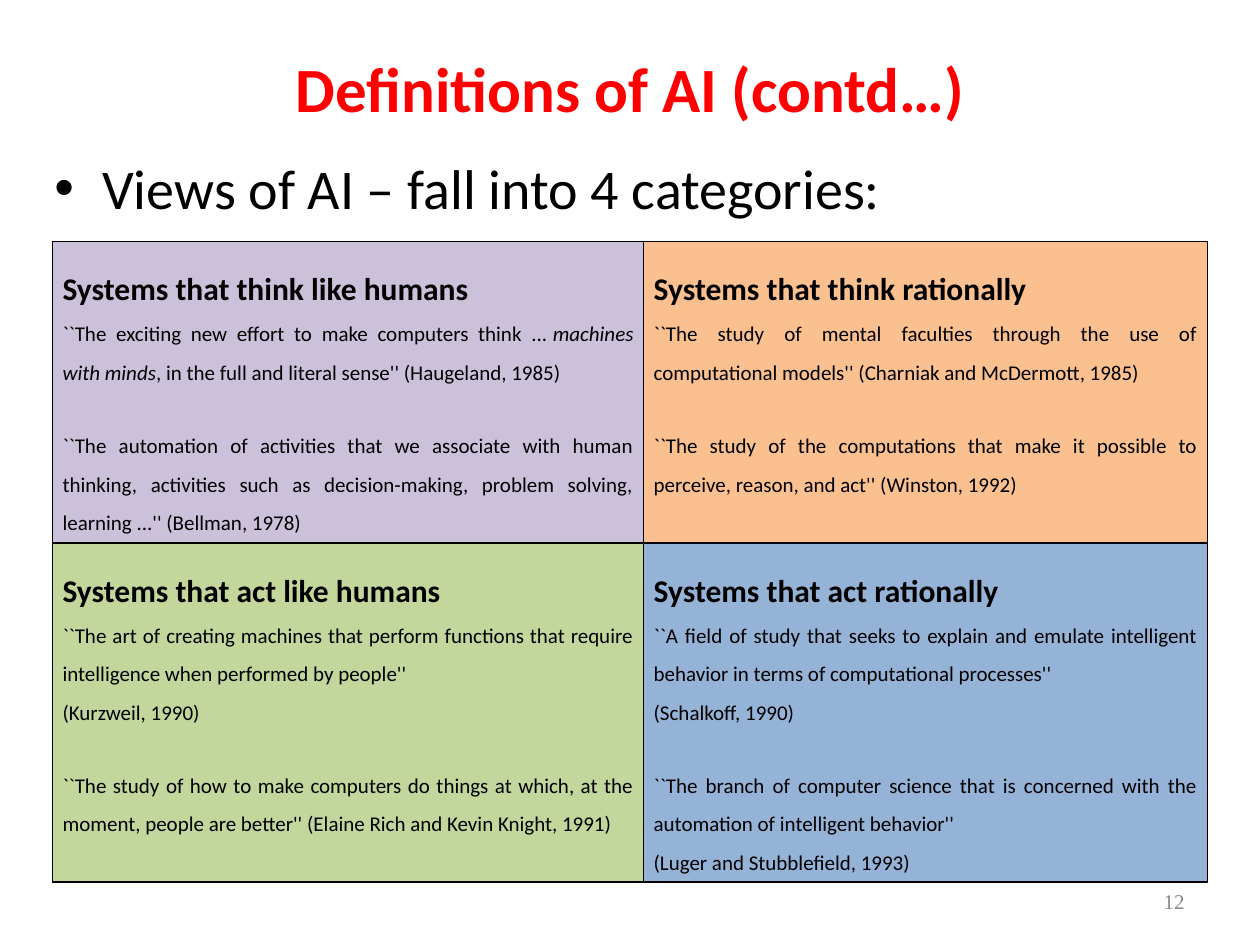
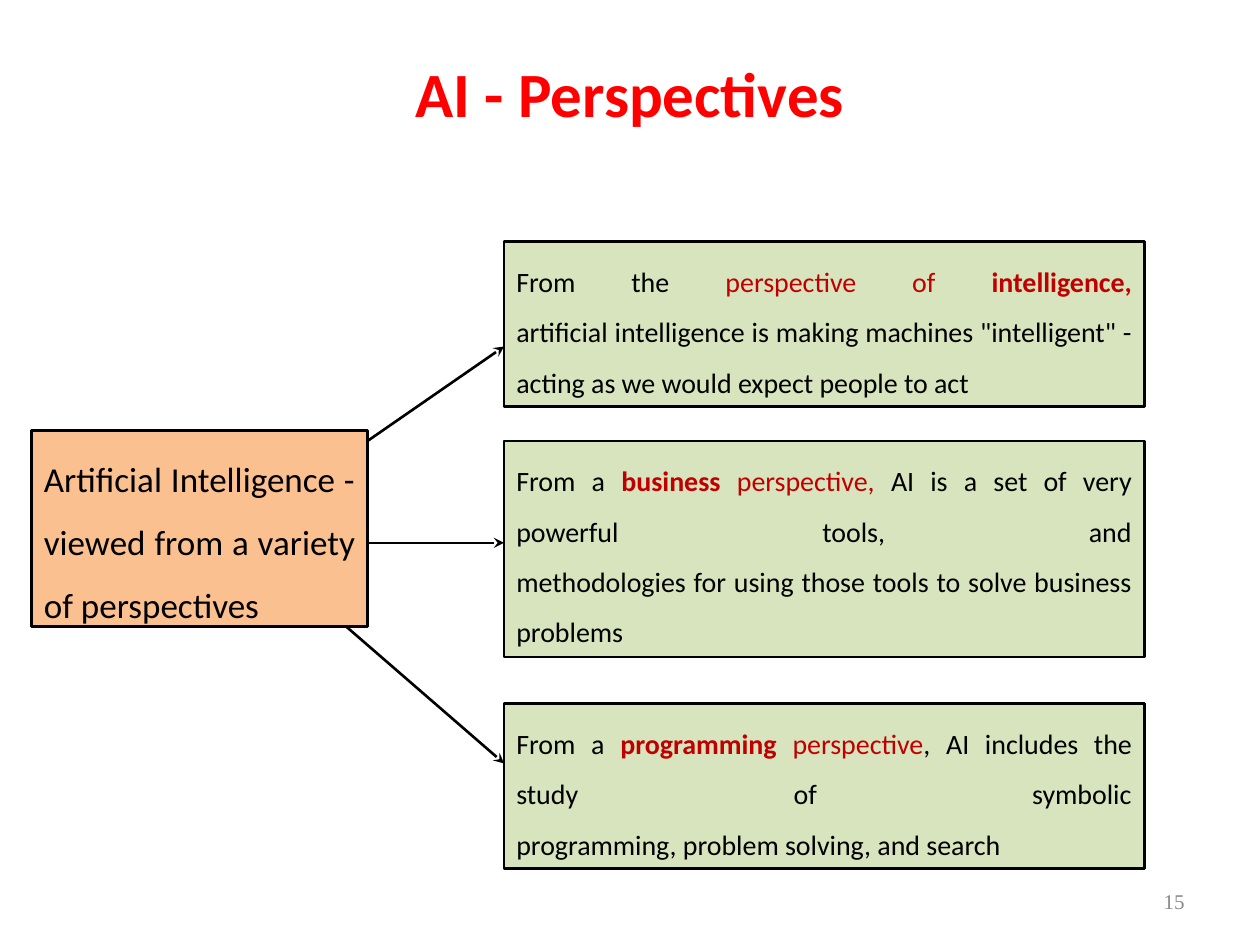
from dataclasses import dataclass

from lxml import etree
from pptx import Presentation
from pptx.dml.color import RGBColor
from pptx.enum.shapes import MSO_CONNECTOR, MSO_SHAPE
from pptx.enum.text import MSO_ANCHOR, PP_ALIGN
from pptx.oxml.ns import qn
from pptx.util import Inches, Pt

LEFT, CENTER = PP_ALIGN.LEFT, PP_ALIGN.CENTER
RIGHT, JUSTIFY = PP_ALIGN.RIGHT, PP_ALIGN.JUSTIFY
TOP, MIDDLE = MSO_ANCHOR.TOP, MSO_ANCHOR.MIDDLE
RECTANGLE, STRAIGHT = MSO_SHAPE.RECTANGLE, MSO_CONNECTOR.STRAIGHT


@dataclass(frozen=True)
class Theme:
    font: str = "Calibri"
    number_font: str = "Times New Roman"
    ink: str = "000000"
    title: str = "FF0000"
    accent: str = "C00000"
    muted: str = "898989"
    purple: str = "CCC1DA"
    orange: str = "FAC090"
    green: str = "C3D69B"
    blue: str = "95B3D7"
    pale_green: str = "D7E4BD"
    title_size: int = 36
    lead_size: int = 32
    hub_size: int = 20
    heading_size: int = 18
    view_size: int = 16
    small_size: int = 12
    quote_gap: int = 20
    line_spacing: float = 1.5
    outline: float = 1.5
    cell_border: float = 1


THEME = Theme()
BLANK_LAYOUT = 6


# The slide is a grid of 120 columns by 90 rows, twelve to the inch
def grid(cells):
    return Inches(cells / 12)


@dataclass(frozen=True)
class Box:
    col: float
    row: float
    cols: float
    rows: float

    @property
    def place(self):
        return [grid(n) for n in (self.col, self.row, self.cols, self.rows)]

    def inner(self, col, row, cols, rows):
        return Box(self.col + col, self.row + row, cols, rows)


def rgb(color):
    return RGBColor.from_string(color)


# ---- Text ----
def add_span(para, text, size, color=THEME.ink, bold=False, italic=False, font=THEME.font):
    for index, line in enumerate(text.split("\n")):
        if index:
            para.add_line_break()
        if not line:
            continue
        span = para.add_run()
        span.text = line
        span.font.name, span.font.size = font, Pt(size)
        span.font.bold, span.font.italic = bold, italic
        span.font.color.rgb = rgb(color)


def style_frame(frame, anchor):
    frame.word_wrap = True
    frame.vertical_anchor = anchor
    frame.margin_left = frame.margin_right = Inches(0.1)
    frame.margin_top = frame.margin_bottom = Inches(0.05)


def add_text(page, box, text, size, align, anchor=MIDDLE, **style):
    frame = page.shapes.add_textbox(*box.place).text_frame
    style_frame(frame, anchor)
    para = frame.paragraphs[0]
    para.alignment = align
    add_span(para, text, size, **style)
    return para


def add_bullet(para):
    props = para._p.get_or_add_pPr()
    props.set("marL", str(Inches(0.38)))
    props.set("indent", str(-Inches(0.38)))
    etree.SubElement(props, qn("a:buFont"), typeface="Arial")
    etree.SubElement(props, qn("a:buChar"), char="•")


def justify(para):
    para.alignment = JUSTIFY
    para.line_spacing = THEME.line_spacing


# ---- Parts both slides share ----
def add_page(deck, title, number, title_rows):
    page = deck.slides.add_slide(deck.slide_layouts[BLANK_LAYOUT])
    add_text(page, Box(6, 3.6, 108, title_rows), title, THEME.title_size, CENTER,
             color=THEME.title, bold=True)
    add_text(page, Box(86, 83.4, 28, 4.8), str(number), THEME.small_size, RIGHT,
             color=THEME.muted, font=THEME.number_font)
    return page


# ---- Table of definitions ----
def border_cell(cell):
    props = cell._tc.get_or_add_tcPr()
    for position, side in enumerate(("a:lnL", "a:lnR", "a:lnT", "a:lnB")):
        line = etree.Element(qn(side), w=str(Pt(THEME.cell_border)))
        fill = etree.SubElement(line, qn("a:solidFill"))
        etree.SubElement(fill, qn("a:srgbClr"), val=THEME.ink)
        props.insert(position, line)


def fill_cell(cell, color, heading, quotes):
    cell.fill.solid()
    cell.fill.fore_color.rgb = rgb(color)
    border_cell(cell)
    cell.margin_left = cell.margin_right = Inches(0.08)
    cell.margin_top = cell.margin_bottom = Inches(0.08)
    para = cell.text_frame.paragraphs[0]
    justify(para)
    add_span(para, heading, THEME.heading_size, bold=True)
    for quote_index, quote in enumerate(quotes):
        for line_index, spans in enumerate(quote):
            para = cell.text_frame.add_paragraph()
            justify(para)
            if quote_index and not line_index:
                para.space_before = Pt(THEME.quote_gap)
            for text, italic in spans:
                add_span(para, text, THEME.small_size, italic=italic)


def add_definitions(page, box, col_widths, row_heights, cells):
    table = page.shapes.add_table(len(row_heights), len(col_widths), *box.place).table
    table.first_row = table.horz_banding = False
    for column, width in zip(table.columns, col_widths):
        column.width = grid(width)
    for row, height in zip(table.rows, row_heights):
        row.height = grid(height)
    for index, content in enumerate(cells):
        fill_cell(table.cell(*divmod(index, len(col_widths))), *content)


def plain(*lines):
    """A quote whose lines each hold one upright span."""
    return [[(line, False)] for line in lines]


DEFINITIONS = [
    (THEME.purple, "Systems that think like humans", [
        [[("``The exciting new effort to make computers think ...\u00a0", False),
          ("machines with minds", True),
          (", in the full and literal sense'' (Haugeland, 1985)", False)]],
        plain("``The automation of activities that we associate with human thinking, "
              "activities such as decision-making, problem solving, learning ...'' "
              "(Bellman, 1978)")]),
    (THEME.orange, "Systems that think rationally", [
        plain("``The study of mental faculties through the use of computational models'' "
              "(Charniak and McDermott, 1985)"),
        plain("``The study of the computations that make it possible to perceive, reason, "
              "and act'' (Winston, 1992)")]),
    (THEME.green, "Systems that act like humans", [
        plain("``The art of creating machines that perform functions that require "
              "intelligence when performed by people''", "(Kurzweil, 1990)"),
        plain("``The study of how to make computers do things at which, at the moment, "
              "people are better'' (Elaine Rich and Kevin Knight, 1991)")]),
    (THEME.blue, "Systems that act rationally", [
        plain("``A field of study that seeks to explain and emulate intelligent behavior "
              "in terms of computational processes''", "(Schalkoff, 1990)"),
        plain("``The branch of computer science that is concerned with the automation of "
              "intelligent behavior''", "(Luger and Stubblefield, 1993)")]),
]


def definitions_slide(deck):
    page = add_page(deck, "Definitions of AI (contd…)", 12, title_rows=9.4)
    lead = add_text(page, Box(4, 14, 108, 8), "Views of AI – fall into 4 categories:",
                    THEME.lead_size, LEFT, TOP)
    add_bullet(lead)
    add_definitions(page, Box(5, 23, 110, 61), (56.3, 53.7), (28.7, 32.3), DEFINITIONS)


# ---- Diagram of perspectives ----
def add_panel(page, box, color, size, spans):
    panel = page.shapes.add_shape(RECTANGLE, *box.place)
    panel.shadow.inherit = False
    panel.fill.solid()
    panel.fill.fore_color.rgb = rgb(color)
    panel.line.color.rgb = rgb(THEME.ink)
    panel.line.width = Pt(THEME.outline)
    style_frame(panel.text_frame, TOP)
    para = panel.text_frame.paragraphs[0]
    justify(para)
    for text, ink, bold in spans:
        add_span(para, text, size, ink, bold)


def add_arrow(page, start, end):
    arrow = page.shapes.add_connector(STRAIGHT, *(grid(n) for n in (*start, *end)))
    arrow.line.color.rgb = rgb(THEME.ink)
    arrow.line.width = Pt(THEME.outline)
    etree.SubElement(arrow.line._get_or_add_ln(), qn("a:tailEnd"), type="stealth")
    etree.SubElement(arrow._element.spPr, qn("a:effectLst"))


# Row offset and height of each view, then its spans
VIEWS = [
    (0, 15.7, [
        ("From the ", THEME.ink, False),
        ("perspective of ", THEME.accent, False),
        ("intelligence,\n", THEME.accent, True),
        ("artificial intelligence is making machines \"intelligent\" - acting as we would "
         "expect people to act", THEME.ink, False)]),
    (19, 20.6, [
        ("From a ", THEME.ink, False),
        ("business ", THEME.accent, True),
        ("perspective, ", THEME.accent, False),
        ("AI is a set of very powerful tools, and\nmethodologies for using those tools to "
         "solve business problems", THEME.ink, False)]),
    (44, 15.7, [
        ("From a ", THEME.ink, False),
        ("programming ", THEME.accent, True),
        ("perspective", THEME.accent, False),
        (", AI includes the study of symbolic\nprogramming, problem solving, and search",
         THEME.ink, False)]),
]


def add_perspectives(page, box):
    hub = box.inner(0, 18, 32, 18.7)
    views_col = 45
    for row, rows, spans in VIEWS:
        view = box.inner(views_col, row, box.cols - views_col, rows)
        add_panel(page, view, THEME.pale_green, THEME.view_size, spans)
    add_panel(page, hub, THEME.orange, THEME.hub_size, [
        ("Artificial Intelligence - viewed from a variety of perspectives", THEME.ink, False)])

    # Arrows fan out from the hub: (columns, rows) from its corner, then end row
    for col, row, end_row in ((hub.cols, 1, 10), (hub.cols - 2, hub.rows, 49.7),
                              (hub.cols, 10.7, 28.7)):
        add_arrow(page, (hub.col + col, hub.row + row),
                  (box.col + views_col, box.row + end_row))


def perspectives_slide(deck):
    page = add_page(deck, "AI - Perspectives", 15, title_rows=10.4)
    add_perspectives(page, Box(3, 23, 106, 59.7))


def main():
    deck = Presentation()
    deck.slide_width, deck.slide_height = grid(120), grid(90)
    definitions_slide(deck)
    perspectives_slide(deck)
    deck.save("out.pptx")


if __name__ == "__main__":
    main()
